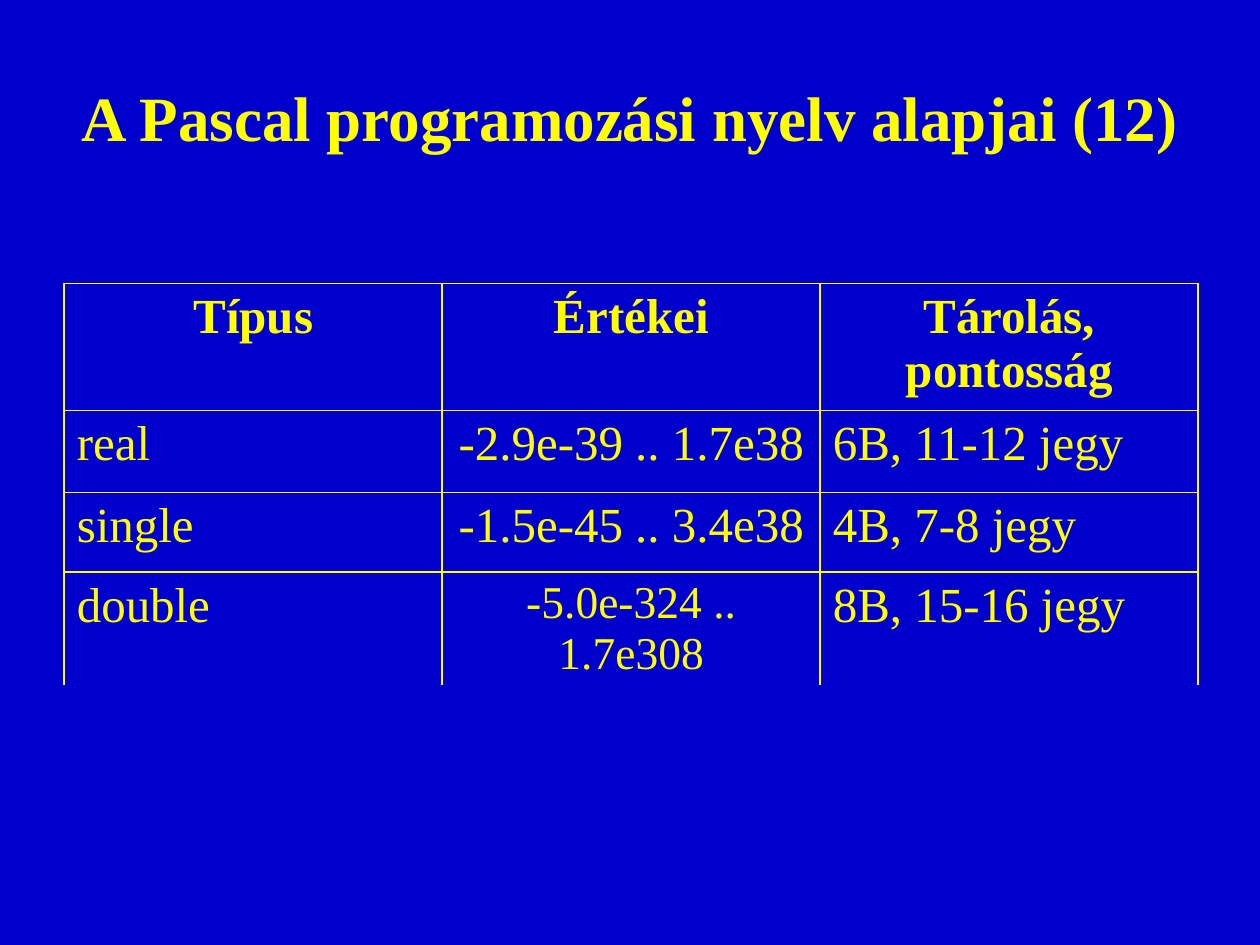
from typing import NamedTuple

from lxml.etree import SubElement as Sub
from pptx import Presentation
from pptx.dml.color import RGBColor as Rgb
from pptx.enum.text import MSO_ANCHOR as Anchor, PP_ALIGN as Align
from pptx.oxml.ns import qn
from pptx.util import Inches, Pt

INK = "FFFF00"
BACK = "0000CC"
FACE = "Times New Roman"
WIDE, HIGH = Inches(10), Inches(7.5)


class Row(NamedTuple):
    high: float
    cells: tuple[str, str, str]
    head: bool = False
    mid: int = 28


ROWS = [
    Row(1.01, ("Típus", "Értékei", "Tárolás, pontosság"), head=True),
    Row(0.65, ("real", "-2.9e-39 .. 1.7e38", "6B, 11-12 jegy")),
    Row(0.63, ("single", "-1.5e-45 .. 3.4e38", "4B, 7-8 jegy")),
    Row(0.71, ("double", "-5.0e-324 .. 1.7e308", "8B, 15-16 jegy"), mid=26),
]


def paint(color, code: str) -> None:
    color.rgb = Rgb.from_string(code)


def write(frame, text: str, size: int, bold: bool, align) -> None:
    frame.text = text
    para = frame.paragraphs[0]
    para.alignment = align
    font = para.font
    font.name, font.size, font.bold = FACE, Pt(size), bold
    paint(font.color, INK)


def rule(cell, last: bool) -> None:
    props = cell._tc.get_or_add_tcPr()
    for side in "LRTB":
        line = Sub(props, qn(f"a:ln{side}"), w=str(Pt(1)))
        if last and side == "B":
            Sub(line, qn("a:noFill"))
        else:
            fill = Sub(line, qn("a:solidFill"))
            Sub(fill, qn("a:srgbClr"), val=INK)
    cell.fill.background()


def grid(slide, rows: list[Row]) -> None:
    cols = len(rows[0].cells)
    high = Inches(sum(row.high for row in rows))
    table = slide.shapes.add_table(
        len(rows), cols, Inches(0.51), int(HIGH * 0.3), int(WIDE * 0.9), high
    ).table
    table.first_row = table.horz_banding = False
    for r, row in enumerate(rows):
        table.rows[r].height = Inches(row.high)
        for c, text in enumerate(row.cells):
            cell = table.cell(r, c)
            mid = c == 1
            align = Align.CENTER if row.head or mid else Align.LEFT
            write(cell.text_frame, text, row.mid if mid else 28, row.head, align)
            rule(cell, r == len(rows) - 1)


def main() -> None:
    deck = Presentation()
    deck.slide_width, deck.slide_height = WIDE, HIGH
    slide = deck.slides.add_slide(deck.slide_layouts[5])
    fill = slide.background.fill
    fill.solid()
    paint(fill.fore_color, BACK)

    title = slide.shapes.title
    title.left, title.top = int(WIDE * 0.05), int(HIGH * 0.04)
    title.width, title.height = int(WIDE * 0.9), Inches(1.25)
    title.text_frame.vertical_anchor = Anchor.MIDDLE
    write(title.text_frame, "A Pascal programozási nyelv alapjai (12)", 36, True, Align.CENTER)

    grid(slide, ROWS)
    deck.save("out.pptx")


if __name__ == "__main__":
    main()
